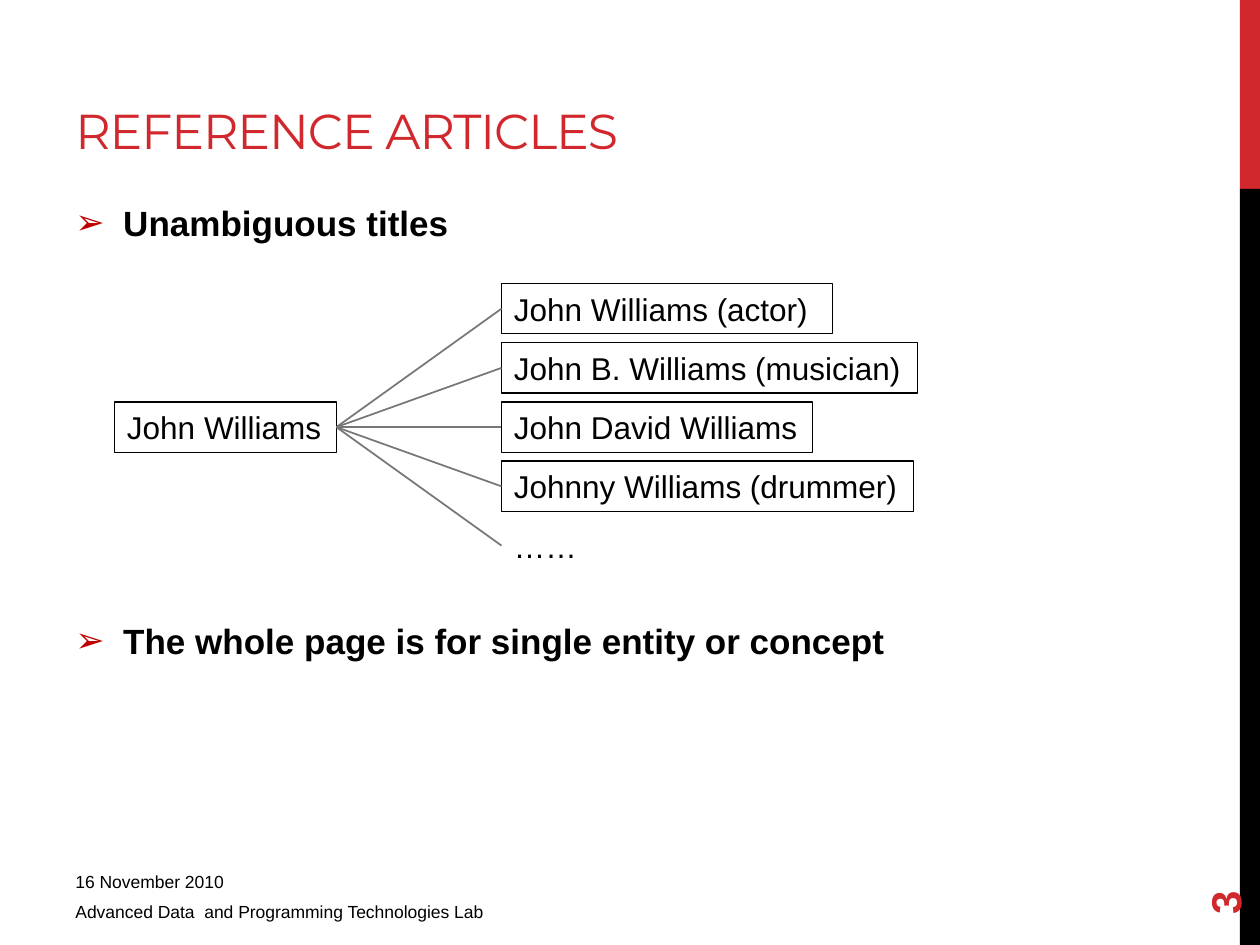
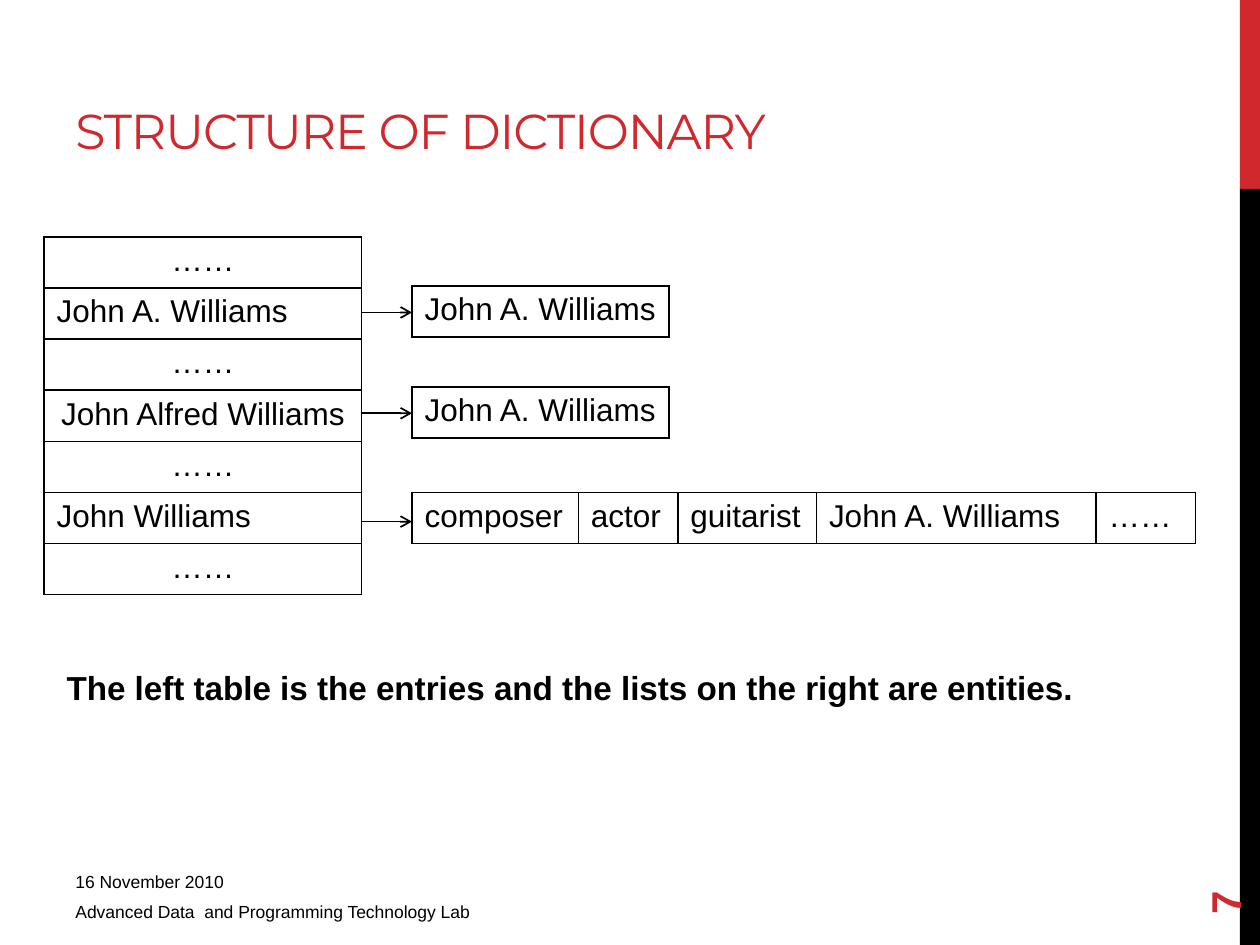
from dataclasses import dataclass

from lxml import etree
from pptx import Presentation
from pptx.dml.color import RGBColor
from pptx.enum.shapes import MSO_CONNECTOR, MSO_SHAPE
from pptx.enum.text import MSO_ANCHOR, PP_ALIGN
from pptx.oxml.ns import qn
from pptx.util import Inches, Pt

RECTANGLE = MSO_SHAPE.RECTANGLE
STRAIGHT = MSO_CONNECTOR.STRAIGHT
TOP, MIDDLE, BOTTOM = MSO_ANCHOR.TOP, MSO_ANCHOR.MIDDLE, MSO_ANCHOR.BOTTOM
LEFT, CENTER = PP_ALIGN.LEFT, PP_ALIGN.CENTER
RIGHT_SIDE, LEFT_SIDE = 3, 1

COLORS = {
    "red": "D1282E",
    "bullet": "C00000",
    "black": "000000",
    "white": "FFFFFF",
    "gray": "777777",
}
BODY_FONT, TITLE_FONT = "Arial", "Montserrat"
ELLIPSIS = "……"
NAME_HEIGHT = 0.4


@dataclass(frozen=True)
class Box:
    left: float
    top: float
    width: float
    height: float

    def lengths(self) -> list:
        return [Inches(v) for v in (self.left, self.top, self.width, self.height)]


@dataclass(frozen=True)
class Style:
    size: float
    color: str = "black"
    font: str = BODY_FONT
    bold: bool = False


@dataclass(frozen=True)
class Band:
    box: Box
    color: str


@dataclass(frozen=True)
class Article:
    title: str
    width: float
    framed: bool = True


@dataclass(frozen=True)
class EntityList:
    top: float
    arrow_y: float
    entities: tuple
    widths: tuple


TITLE = Style(28, "red", TITLE_FONT)
BULLET = Style(20, bold=True)
NAME = Style(18)
CAPTION = Style(19, bold=True)
FOOTER = Style(10)
NUMBER = Style(24, "red", bold=True)

BANDS = (
    Band(Box(9.84, 0, 0.16, 1.5), "red"),
    Band(Box(9.84, 1.5, 0.16, 6), "black"),
)
ARTICLES = (
    Article("John Williams (actor)", 2.63),
    Article("John B. Williams (musician)", 3.3),
    Article("John David Williams", 2.47),
    Article("Johnny Williams (drummer)", 3.27),
    Article(ELLIPSIS, 0.71, framed=False),
)
ENTRIES = (
    (ELLIPSIS, CENTER),
    ("John A. Williams", LEFT),
    (ELLIPSIS, CENTER),
    ("John Alfred Williams", CENTER),
    (ELLIPSIS, CENTER),
    ("John Williams", LEFT),
    (ELLIPSIS, CENTER),
)
ENTITY_LISTS = (
    EntityList(2.27, 2.48, ("John A. Williams",), (2.04,)),
    EntityList(3.07, 3.28, ("John A. Williams",), (2.04,)),
    EntityList(
        3.91,
        4.14,
        ("composer", "actor", "guitarist", "John A. Williams", ELLIPSIS),
        (1.32, 0.79, 1.1, 2.22, 0.79),
    ),
)


def rgb(color: str) -> RGBColor:
    return RGBColor.from_string(COLORS[color])


def style_paragraph(paragraph, style: Style, align=LEFT) -> None:
    paragraph.alignment = align
    for run in paragraph.runs:
        run.font.size = Pt(style.size)
        run.font.name = style.font
        run.font.bold = style.bold
        run.font.color.rgb = rgb(style.color)


def fill_text(shape, text: str, style: Style, anchor=TOP) -> None:
    frame = shape.text_frame
    frame.word_wrap = True
    frame.margin_right = 0
    frame.vertical_anchor = anchor
    frame.text = text
    for paragraph in frame.paragraphs:
        style_paragraph(paragraph, style)


def add_text(slide, box: Box, text: str, style: Style, anchor=TOP):
    label = slide.shapes.add_textbox(*box.lengths())
    fill_text(label, text, style, anchor)
    return label


def add_band(slide, band: Band) -> None:
    stripe = slide.shapes.add_shape(RECTANGLE, *band.box.lengths())
    stripe.shadow.inherit = False
    stripe.fill.solid()
    stripe.fill.fore_color.rgb = rgb(band.color)
    stripe.line.fill.background()


def add_framed_name(slide, box: Box, name: str):
    frame = slide.shapes.add_shape(RECTANGLE, *box.lengths())
    frame.shadow.inherit = False
    frame.fill.background()
    frame.line.color.rgb = rgb("black")
    frame.line.width = Pt(0.75)
    fill_text(frame, name, NAME)
    return frame


def add_line(slide, start: tuple, end: tuple, color: str, arrow: bool = False):
    ends = [Inches(v) for v in (*start, *end)]
    line = slide.shapes.add_connector(STRAIGHT, *ends)
    line.line.color.rgb = rgb(color)
    line.line.width = Pt(1)
    if arrow:
        etree.SubElement(line.line._get_or_add_ln(), qn("a:tailEnd"), type="arrow")
    etree.SubElement(line._element.spPr, qn("a:effectLst"))
    return line


def add_cell_borders(cell) -> None:
    properties = cell._tc.get_or_add_tcPr()
    for index, side in enumerate(("lnL", "lnR", "lnT", "lnB")):
        border = etree.Element(qn(f"a:{side}"), w=str(Pt(1)))
        fill = etree.SubElement(border, qn("a:solidFill"))
        etree.SubElement(fill, qn("a:srgbClr"), val=COLORS["black"])
        properties.insert(index, border)


def add_name_table(slide, left: float, top: float, widths: tuple,
                   rows: list, row_height: float) -> None:
    box = Box(left, top, sum(widths), row_height * len(rows))
    table = slide.shapes.add_table(len(rows), len(widths), *box.lengths()).table
    table.first_row = False
    table.horz_banding = False
    for column, width in zip(table.columns, widths):
        column.width = Inches(width)
    for r, row in enumerate(rows):
        for c, (name, align) in enumerate(row):
            cell = table.cell(r, c)
            cell.text = name
            if align == LEFT:
                cell.margin_right = Inches(0.05)
            style_paragraph(cell.text_frame.paragraphs[0], NAME, align)
            cell.fill.solid()
            cell.fill.fore_color.rgb = rgb("white")
            add_cell_borders(cell)


def add_bullets(slide, box: Box, points: tuple, gap: float) -> None:
    body = add_text(slide, box, "\n".join(points), BULLET)
    for index, paragraph in enumerate(body.text_frame.paragraphs):
        paragraph.space_before = Pt(gap if index else 0)
        properties = paragraph._p.get_or_add_pPr()
        properties.set("marL", str(Inches(0.38)))
        properties.set("indent", str(-Inches(0.38)))
        color = etree.SubElement(properties, qn("a:buClr"))
        etree.SubElement(color, qn("a:srgbClr"), val=COLORS["bullet"])
        etree.SubElement(properties, qn("a:buFont"), typeface=BODY_FONT)
        etree.SubElement(properties, qn("a:buChar"), char="➢")


def start_slide(deck, title: str, lab: str, number: str):
    slide = deck.slides.add_slide(deck.slide_layouts[6])
    for band in BANDS:
        add_band(slide, band)
    heading = add_text(slide, Box(0.5, 0.17, 8, 1.14), title, TITLE, BOTTOM)
    for run in heading.text_frame.paragraphs[0].runs:
        run._r.get_or_add_rPr().set("spc", "-60")
    date = add_text(slide, Box(0.5, 6.75, 3.75, 0.33), "16 November 2010", FOOTER, BOTTOM)
    date.text_frame.margin_bottom = 0
    add_text(slide, Box(0.5, 7.1, 3.75, 0.31), lab, FOOTER)
    page = add_text(slide, Box(9, 6.44, 1.44, 0.4), number, NUMBER, MIDDLE)
    page.rotation = 270
    return slide


def build_articles(deck) -> None:
    slide = start_slide(deck, "REFERENCE ARTICLES",
                        "Advanced Data  and Programming Technologies Lab", "3")
    points = ("Unambiguous titles", "The whole page is for single entity or concept")
    add_bullets(slide, Box(0.5, 1.55, 8.33, 5.15), points, gap=215)
    ambiguous = add_framed_name(slide, Box(0.91, 3.19, 1.76, NAME_HEIGHT), "John Williams")
    left, first_top, step = 3.98, 2.25, 0.47
    for index, article in enumerate(ARTICLES):
        box = Box(left, first_top + index * step, article.width, NAME_HEIGHT)
        if article.framed:
            target = add_framed_name(slide, box, article.title)
        else:
            target = add_text(slide, box, article.title, NAME)
        link = add_line(slide, (2.67, 3.39), (left, box.top + NAME_HEIGHT / 2), "gray")
        link.begin_connect(ambiguous, RIGHT_SIDE)
        link.end_connect(target, LEFT_SIDE)


def build_dictionary(deck) -> None:
    slide = start_slide(deck, "STRUCTURE OF DICTIONARY",
                        "Advanced Data  and Programming Technology Lab", "7")
    entries_left, entries_width, lists_left = 0.35, 2.52, 3.27
    row_height = 2.84 / len(ENTRIES)
    add_name_table(slide, entries_left, 1.88, (entries_width,),
                   [[entry] for entry in ENTRIES], row_height)
    for listing in ENTITY_LISTS:
        row = [(entity, LEFT) for entity in listing.entities]
        add_name_table(slide, lists_left, listing.top, listing.widths, [row], row_height)
        add_line(slide, (entries_left + entries_width, listing.arrow_y),
                 (lists_left, listing.arrow_y), "black", arrow=True)
    add_text(slide, Box(0.43, 5.25, 8.3, 0.42),
             "The left table is the entries and the lists on the right are entities.", CAPTION)


def main() -> None:
    deck = Presentation()
    deck.slide_width, deck.slide_height = Inches(10), Inches(7.5)
    build_articles(deck)
    build_dictionary(deck)
    deck.save("out.pptx")


if __name__ == "__main__":
    main()
